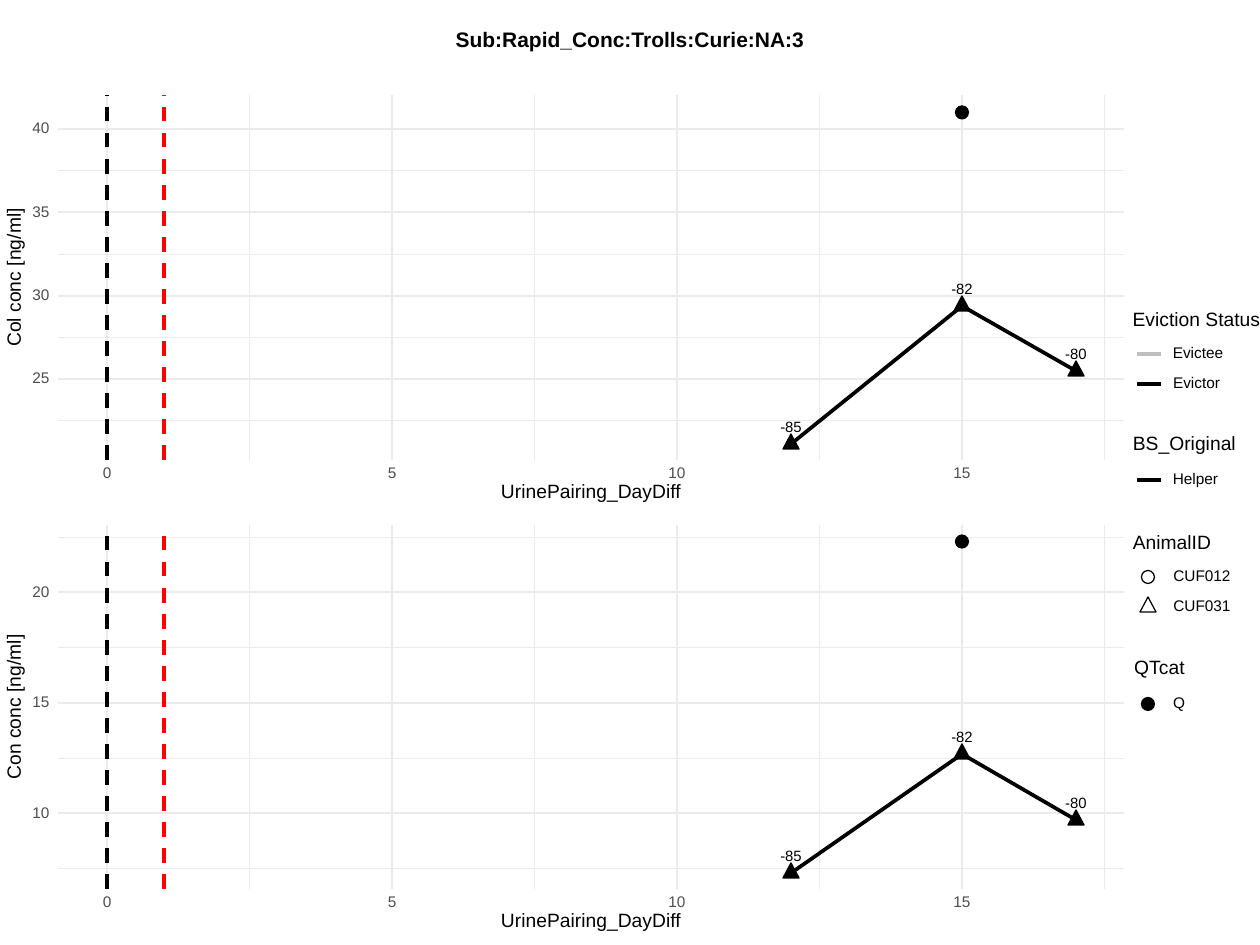
import pptx
import pptx.dml.color
import pptx.enum.dml
import pptx.enum.shapes
import pptx.enum.text
import pptx.oxml.ns
import pptx.util
from lxml import etree

PX = 914400 / 126
SLACK = 8
BLACK = pptx.dml.color.RGBColor(0x00, 0x00, 0x00)
RED = pptx.dml.color.RGBColor(0xFF, 0x00, 0x00)
GREY = pptx.dml.color.RGBColor(0xBE, 0xBE, 0xBE)
GRID = pptx.dml.color.RGBColor(0xEB, 0xEB, 0xEB)
TICK = pptx.dml.color.RGBColor(0x4D, 0x4D, 0x4D)

X_STEP = 57
X_ZERO = 49
DAYS = [12, 15, 17]
LABELS = ["-85", "-82", "-80"]
PANELS = [
    dict(title="Col conc [ng/ml]", box=(58, 95, 1066, 365), top=42.05, step=16.65,
         major=[25, 30, 35, 40], minor=[22.5, 27.5, 32.5, 37.5],
         values=[21.1, 29.4, 25.5], single=41),
    dict(title="Con conc [ng/ml]", box=(58, 525, 1066, 364), top=23.05, step=22.1,
         major=[10, 15, 20], minor=[7.5, 12.5, 17.5, 22.5],
         values=[7.3, 12.7, 9.7], single=22.3),
]
LEGEND = [
    ("Eviction Status", 127, 8, [("Evictee", 50, 41, "line", GREY),
                                 ("Evictor", 47, 71, "line", BLACK)]),
    ("BS_Original", 103, 132, [("Helper", 45, 167, "line", BLACK)]),
    ("AnimalID", 78, 231, [("CUF012", 58, 264, "circle", None),
                           ("CUF031", 58, 294, "triangle", None)]),
    ("QTcat", 53, 356, [("Q", 12, 391, "circle", BLACK)]),
]


def px(n):
    """Turn a length in px into EMU."""
    return pptx.util.Emu(round(n * PX))


def add_text(slide, text, cx, cy, w, size, color=BLACK, bold=False, rotation=0):
    """Add one line of text centred on a point, with slack around its width."""
    w += SLACK
    sp = slide.shapes.add_textbox(px(cx - w / 2), px(cy - 8), px(w), px(16))
    sp.rotation = rotation
    tf = sp.text_frame
    tf.word_wrap = False
    tf.margin_left = tf.margin_right = tf.margin_top = tf.margin_bottom = 0
    tf.vertical_anchor = pptx.enum.text.MSO_ANCHOR.MIDDLE
    p = tf.paragraphs[0]
    p.text = text
    p.alignment = pptx.enum.text.PP_ALIGN.CENTER
    p.line_spacing = pptx.util.Pt(size)
    p.font.name = "Arial"
    p.font.size = pptx.util.Pt(size)
    p.font.bold = bold
    p.font.color.rgb = color


def add_line(slide, x1, y1, x2, y2, color, width, dashed=False):
    """Add a straight line without a shadow."""
    sp = slide.shapes.add_connector(
        pptx.enum.shapes.MSO_CONNECTOR.STRAIGHT, px(x1), px(y1), px(x2), px(y2))
    sp.line.color.rgb = color
    sp.line.width = pptx.util.Pt(width)
    if dashed:
        sp.line.dash_style = pptx.enum.dml.MSO_LINE.DASH
    etree.SubElement(sp._element.spPr, pptx.oxml.ns.qn("a:effectLst"))


def style_shape(sp, fill, width):
    """Give a shape a black outline and an optional fill."""
    sp.shadow.inherit = False
    if fill is None:
        sp.fill.background()
    else:
        sp.fill.solid()
        sp.fill.fore_color.rgb = fill
    sp.line.color.rgb = BLACK
    sp.line.width = pptx.util.Pt(width)


def add_path(slide, points, closed, fill, width):
    """Add a freeform through the given points."""
    fb = slide.shapes.build_freeform(*points[0], scale=PX)
    fb.add_line_segments(points[1:], close=closed)
    style_shape(fb.convert_to_shape(), fill, width)


def add_marker(slide, kind, cx, cy, fill):
    """Add a circle or triangle marker at a point."""
    if kind == "triangle":
        corners = [(cx, cy - 10), (cx + 8, cy + 5), (cx - 8, cy + 5)]
        add_path(slide, corners, True, fill, 0.71)
    else:
        sp = slide.shapes.add_shape(
            pptx.enum.shapes.MSO_SHAPE.OVAL, px(cx - 6.5), px(cy - 6.5), px(13), px(13))
        style_shape(sp, fill, 0.71)


def add_panel(slide, box, title, top, step, major, minor, values, single):
    """Draw one plot panel with its grid, data and axes."""
    left, upper, w, h = box
    right, bottom = left + w, upper + h

    def x_at(day):
        """Return the x position of a day."""
        return left + X_ZERO + day * X_STEP

    def y_at(value):
        """Return the y position of a value."""
        return upper + (top - value) * step

    x_major = [0, 5, 10, 15]
    x_minor = [2.5, 7.5, 12.5, 17.5]
    for days, levels, width in ((x_minor, minor, 0.53), (x_major, major, 1.07)):
        for level in levels:
            add_line(slide, left, y_at(level), right, y_at(level), GRID, width)
        for day in days:
            add_line(slide, x_at(day), bottom, x_at(day), upper, GRID, width)

    points = [(x_at(d), y_at(v)) for d, v in zip(DAYS, values)]
    add_path(slide, points, False, None, 2.13)
    for x, y in points:
        add_marker(slide, "triangle", x, y, BLACK)
    add_marker(slide, "circle", x_at(15), y_at(single), BLACK)
    for (x, y), label in zip(points, LABELS):
        add_text(slide, label, x, y - 16, 22, 8.5)
    for day, color in ((0, BLACK), (1, RED)):
        add_line(slide, x_at(day), bottom, x_at(day), upper, color, 2.13, dashed=True)

    for level in major:
        add_text(slide, str(level), left - 17, y_at(level), 18, 8.8, TICK)
    for day in x_major:
        add_text(slide, str(day), x_at(day), bottom + 14, 9 * len(str(day)), 8.8, TICK)
    add_text(slide, "UrinePairing_DayDiff", left + w / 2, bottom + 33, 180, 11)
    add_text(slide, title, left - 43, upper + h / 2, 150, 11, rotation=270)


def add_legend(slide, left, upper):
    """Draw the legend sections down from a corner."""
    for title, title_w, title_y, keys in LEGEND:
        add_text(slide, title, left + title_w / 2, upper + title_y, title_w, 11)
        for label, label_w, key_y, kind, color in keys:
            y = upper + key_y
            if kind == "line":
                add_line(slide, left + 4, y, left + 28, y, color, 2.13)
            else:
                add_marker(slide, kind, left + 15, y, color)
            add_text(slide, label, left + 40 + label_w / 2, y, label_w, 8.8)


def main():
    """Build the slide and save it."""
    prs = pptx.Presentation()
    prs.slide_width, prs.slide_height = px(1260), px(945)
    slide = prs.slides.add_slide(prs.slide_layouts[6])
    add_text(slide, "Sub:Rapid_Conc:Trolls:Curie:NA:3", 630, 41, 350, 12, bold=True)
    for panel in PANELS:
        add_panel(slide, **panel)
    add_legend(slide, 1133, 313)
    prs.save("out.pptx")


if __name__ == "__main__":
    main()
